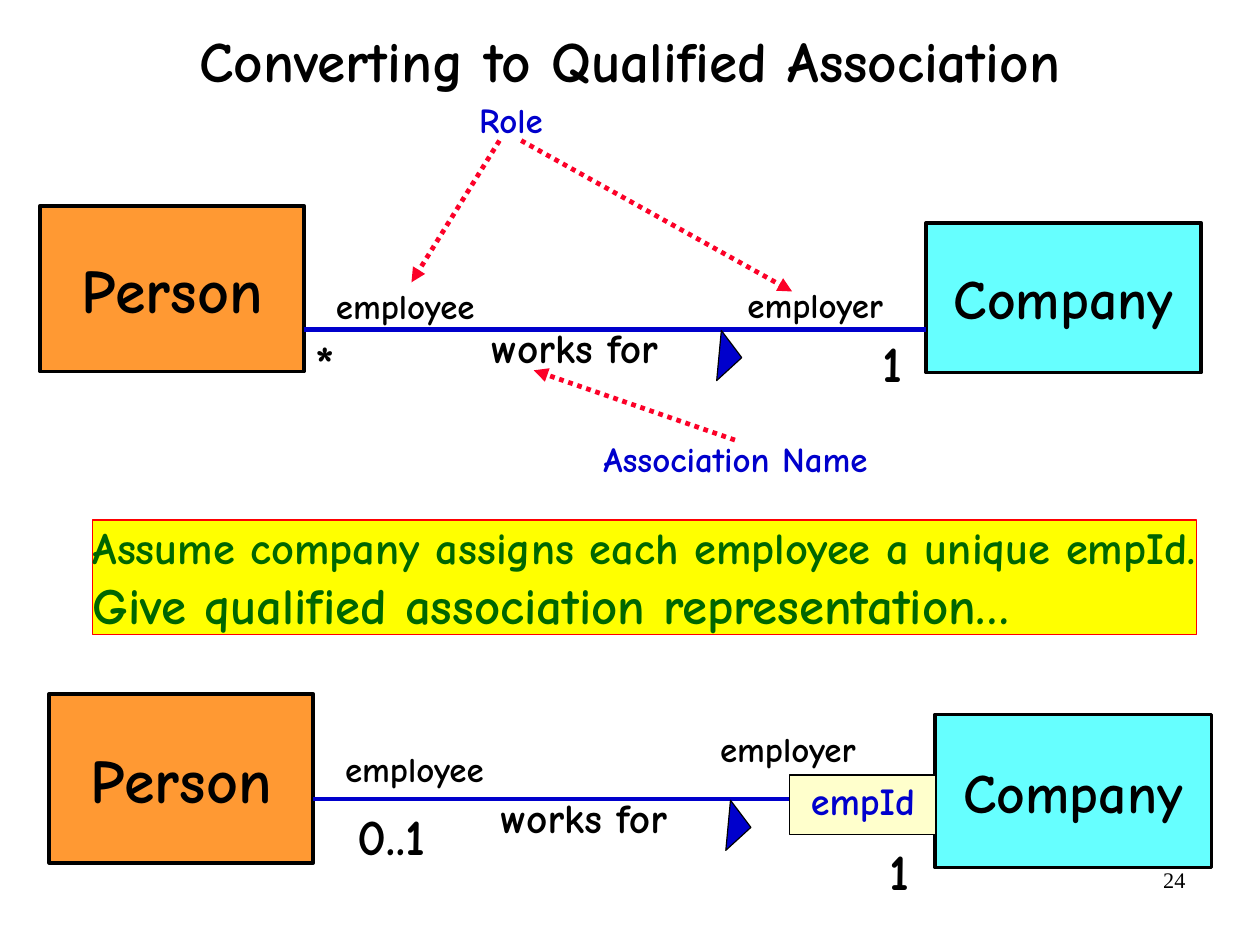
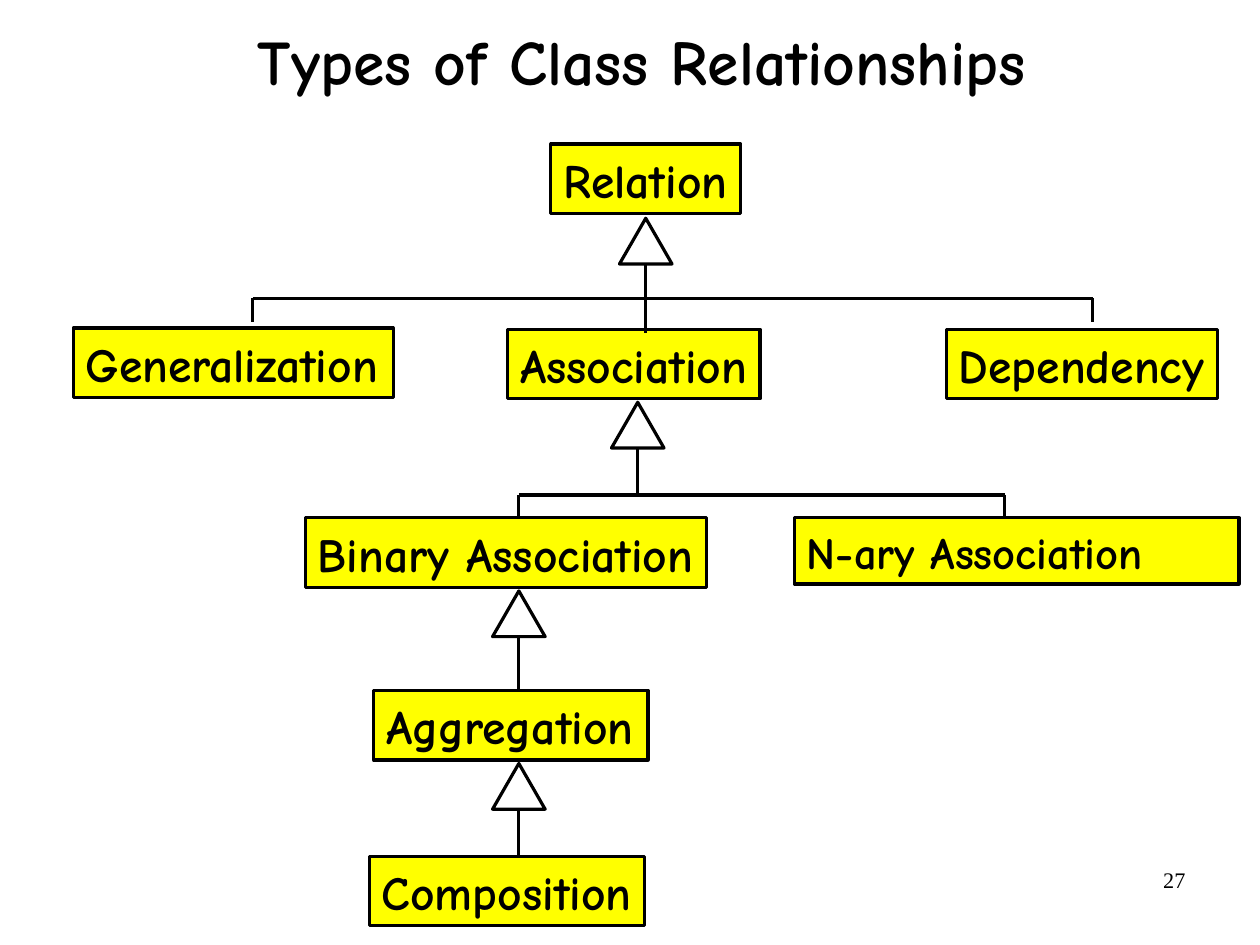
from pptx import Presentation
from pptx.dml.color import RGBColor
from pptx.enum.dml import MSO_LINE
from pptx.enum.shapes import MSO_CONNECTOR, MSO_SHAPE
from pptx.enum.text import MSO_ANCHOR, MSO_AUTO_SIZE, PP_ALIGN
from pptx.oxml.ns import qn
from pptx.util import Inches, Pt
from lxml.etree import SubElement

# Shared style
FONT = "Comic Neue"
NUMBER_FONT = "Times New Roman"
BLACK = RGBColor(0x00, 0x00, 0x00)
WHITE = RGBColor(0xFF, 0xFF, 0xFF)
BLUE = RGBColor(0x00, 0x00, 0xCC)
RED = RGBColor(0xFF, 0x00, 0x00)
CRIMSON = RGBColor(0xFC, 0x01, 0x28)
GREEN = RGBColor(0x00, 0x66, 0x00)
ORANGE = RGBColor(0xFF, 0x99, 0x33)
CYAN = RGBColor(0x66, 0xFF, 0xFF)
YELLOW = RGBColor(0xFF, 0xFF, 0x00)
CREAM = RGBColor(0xFF, 0xFF, 0xCC)
INSETS = (0.11, 0.06)
NO_INSETS = (0, 0)
TITLE_ONLY = 5
CM_PER_INCH = 2.54


def format_text(tf, sizes, color=BLACK, align=PP_ALIGN.LEFT, insets=INSETS,
                anchor=MSO_ANCHOR.TOP, wrap=False, font=FONT, bold=True):
    """Format a frame; sizes holds one point size per paragraph."""
    tf.word_wrap = wrap
    tf.auto_size = MSO_AUTO_SIZE.NONE
    tf.vertical_anchor = anchor
    tf.margin_left = tf.margin_right = Inches(insets[0])
    tf.margin_top = tf.margin_bottom = Inches(insets[1])
    for p, size in zip(tf.paragraphs, sizes):
        p.alignment = align
        for r in p.runs:
            r.font.name = font
            r.font.size = Pt(size)
            r.font.bold = bold
            r.font.color.rgb = color


def add_label(s, text, at, size, **style):
    sp = s.shapes.add_textbox(*map(Inches, at))
    sp.text_frame.text = text
    format_text(sp.text_frame, [size], **style)
    return sp


def add_box(s, at, fill, line=BLACK, width=2.25, shape=MSO_SHAPE.RECTANGLE):
    sp = s.shapes.add_shape(shape, *map(Inches, at))
    sp.shadow.inherit = False
    sp.fill.solid()
    sp.fill.fore_color.rgb = fill
    sp.line.color.rgb = line
    sp.line.width = Pt(width)
    return sp


def add_class(s, name, at, fill, size, color=BLACK, width=2.25):
    sp = add_box(s, at, fill, width=width)
    sp.text_frame.text = name
    format_text(sp.text_frame, [size], color, PP_ALIGN.CENTER,
                anchor=MSO_ANCHOR.MIDDLE)
    return sp


def add_line(s, start, end, color=BLACK, width=2):
    line = s.shapes.add_connector(MSO_CONNECTOR.STRAIGHT,
                                  *map(Inches, (*start, *end)))
    line.line.color.rgb = color
    line.line.width = Pt(width)
    SubElement(line._element.spPr, qn("a:effectLst"))
    return line


def add_pointer(s, start, end):
    """Dotted red arrow from a caption to what it names."""
    line = add_line(s, start, end, CRIMSON, 3).line
    line.dash_style = MSO_LINE.ROUND_DOT
    SubElement(line._get_or_add_ln(), qn("a:tailEnd"), type="triangle")


def add_titled_slide(prs, title, at, size, insets, number):
    s = prs.slides.add_slide(prs.slide_layouts[TITLE_ONLY])
    sp = s.shapes.title
    sp.left, sp.top, sp.width, sp.height = map(Inches, at)
    sp.text_frame.text = title
    format_text(sp.text_frame, [size], align=PP_ALIGN.CENTER, insets=insets,
                anchor=MSO_ANCHOR.MIDDLE, wrap=True)
    sp.text_frame.paragraphs[0].line_spacing = 0.88
    add_label(s, number, (7.9, 7.53, 2.57, 0.57), 14, align=PP_ALIGN.RIGHT,
              insets=(0.1, 0.05), wrap=True, font=NUMBER_FONT, bold=False)
    return s


def add_association(s, person, company, line_y, employee, employer):
    """Person and Company joined by a named line with its role labels."""
    x = person[0] + person[2]
    add_label(s, "works for", (x + 1.53, line_y - 0.12, 1.69, 0.54), 26)
    add_class(s, "Person", person, ORANGE, 39)
    add_class(s, "Company", company, CYAN, 35)
    add_line(s, (x, line_y), (company[0], line_y), BLUE, 3)
    add_label(s, "employee", (*employee, 1.44, 0.48), 22)
    add_label(s, "employer", (*employer, 1.92, 0.48), 22, wrap=True)
    direction = add_box(s, (x + 3.51, line_y + 0.14, 0.44, 0.2), BLUE,
                        width=0.75, shape=MSO_SHAPE.ISOSCELES_TRIANGLE)
    direction.rotation = 95.3


def add_multiplicity(s, text, x, y, width=0.18):
    add_label(s, text, (x, y, width, 0.53), 32, insets=NO_INSETS)


def add_type(s, name, x, y, width, height=0.61, size=30, wrap=False):
    sp = add_box(s, (x, y, width, height), YELLOW, width=2)
    sp.text_frame.text = name
    format_text(sp.text_frame, [size], wrap=wrap)
    sp.text_frame.paragraphs[0].space_before = Pt(size / 4)


def add_inheritance(s, x, top, bottom):
    """Hollow triangle with a stem below it."""
    width, height = 0.46, 0.4
    add_box(s, (x - width / 2, top, width, height), WHITE, width=2,
            shape=MSO_SHAPE.ISOSCELES_TRIANGLE)
    add_line(s, (x, top + height), (x, bottom))


def add_branch(s, left, right, y, bottom):
    """Horizontal bar with a drop at each end."""
    add_line(s, (left, y), (right, y))
    for x in (left, right):
        add_line(s, (x, y), (x, bottom))


def build_association_slide(prs):
    s = add_titled_slide(prs, "Converting to Qualified Association",
                         (0, -0.12, 11.02, 1.37), 36, NO_INSETS, "24")

    # Plain association with its captions
    add_association(s, (0.35, 1.8, 2.31, 1.45), (8.1, 1.95, 2.41, 1.31), 2.88,
                    (2.83, 2.43), (6.43, 2.42))
    add_multiplicity(s, "*", 2.76, 2.9)
    add_multiplicity(s, "1", 7.72, 2.9)
    for text, at in (("Role", (4.08, 0.8, 0.78, 0.48)),
                     ("Association Name", (5.17, 3.77, 2.53, 0.48))):
        add_label(s, text, at, 22, color=BLUE, align=PP_ALIGN.CENTER)
    add_pointer(s, (4.37, 1.23), (3.6, 2.47))
    add_pointer(s, (4.56, 1.23), (6.93, 2.55))
    add_pointer(s, (6.43, 3.85), (4.67, 3.24))

    # Qualified association
    add_association(s, (0.43, 6.07, 2.31, 1.48), (8.18, 6.25, 2.42, 1.34), 6.99,
                    (2.91, 6.48), (6.19, 6.31))
    qualifier = add_class(s, "empId", (6.91, 6.78, 1.28, 0.52), CREAM, 24,
                          BLUE, 0.75)
    qualifier.text_frame.paragraphs[0].line_spacing = 0.8
    add_multiplicity(s, "0..1", 3.13, 7.04, 0.59)
    add_multiplicity(s, "1", 7.78, 7.35)

    # Task band
    band = add_box(s, (0.81, 4.55, 9.66, 1), YELLOW, RED, 0.75)
    band.text_frame.text = (
        "Assume company assigns each employee a unique empId.\n"
        "Give qualified association representation…")
    format_text(band.text_frame, [28, 32], GREEN, insets=NO_INSETS)


def build_types_slide(prs):
    s = add_titled_slide(prs, "Types of Class Relationships",
                         (0.85, -0.12, 9.53, 1.38), 40, INSETS, "27")

    # Relationship types
    for name, x, y, width in (
            ("Relation", 4.82, 1.26, 1.66),
            ("Generalization", 0.64, 2.87, 2.8),
            ("Association", 4.44, 2.88, 2.21),
            ("Dependency", 8.28, 2.88, 2.37),
            ("Binary Association", 2.67, 4.53, 3.51),
            ("Aggregation", 3.27, 6.04, 2.4),
            ("Composition", 3.23, 7.49, 2.41)):
        add_type(s, name, x, y, width)
    add_type(s, "N-ary Association", 6.95, 4.53, 3.89, 0.58, 28, wrap=True)

    # Inheritance tree
    for x, top, bottom in ((5.65, 1.91, 2.91), (5.58, 3.52, 4.33),
                           (4.54, 5.17, 6.04), (4.54, 6.68, 7.49)):
        add_inheritance(s, x, top, bottom)
    add_branch(s, 2.21, 9.56, 2.61, 2.82)
    add_branch(s, 4.54, 8.79, 4.33, 4.53)


def main():
    prs = Presentation()
    prs.slide_width = Inches(28 / CM_PER_INCH)
    prs.slide_height = Inches(21 / CM_PER_INCH)
    build_association_slide(prs)
    build_types_slide(prs)
    prs.save("out.pptx")


if __name__ == "__main__":
    main()
